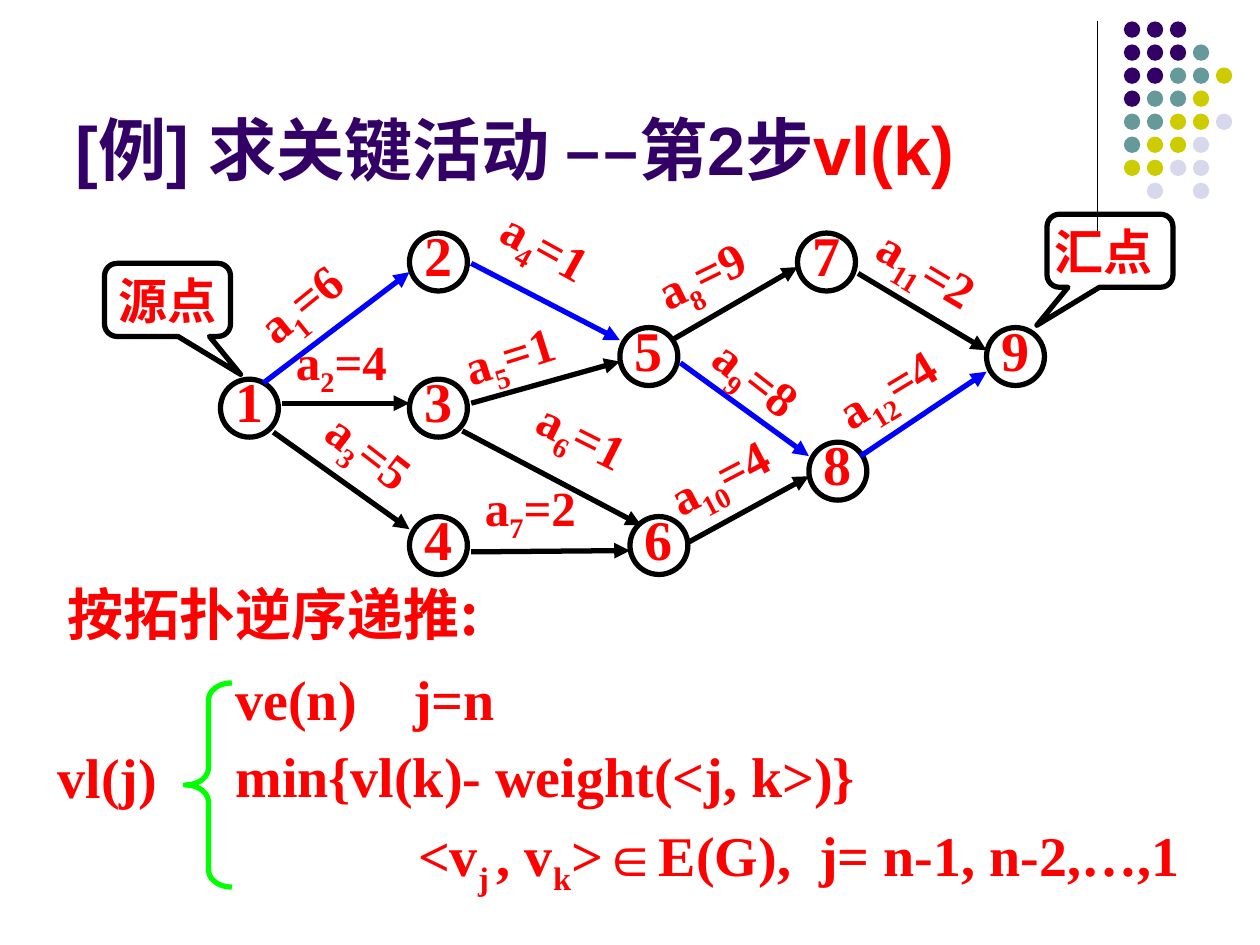
from lxml import etree
from pptx import Presentation
from pptx.dml.color import RGBColor
from pptx.enum.shapes import MSO_CONNECTOR, MSO_SHAPE
from pptx.enum.text import MSO_ANCHOR, MSO_AUTO_SIZE, PP_ALIGN
from pptx.oxml.ns import qn
from pptx.util import Inches, Pt

OVAL, BRACE = MSO_SHAPE.OVAL, MSO_SHAPE.LEFT_BRACE
CALLOUT = MSO_SHAPE.ROUNDED_RECTANGULAR_CALLOUT
STRAIGHT = MSO_CONNECTOR.STRAIGHT
TOP, MIDDLE, BOTTOM = MSO_ANCHOR.TOP, MSO_ANCHOR.MIDDLE, MSO_ANCHOR.BOTTOM
LEFT, CENTER = PP_ALIGN.LEFT, PP_ALIGN.CENTER
NO_FIT = MSO_AUTO_SIZE.NONE

BLACK = RGBColor(0x00, 0x00, 0x00)
RED = RGBColor(0xFF, 0x00, 0x00)
BLUE = RGBColor(0x00, 0x00, 0xFF)
GREEN = RGBColor(0x00, 0xFF, 0x00)
PURPLE = RGBColor(0x33, 0x00, 0x66)
TEAL = RGBColor(0x66, 0x99, 0x99)
YELLOW = RGBColor(0xCC, 0xCC, 0x00)
LAVENDER = RGBColor(0xD8, 0xD8, 0xEC)

SERIF, SANS, CJK = "Times New Roman", "Arial", "Noto Sans CJK SC"

DOT_COLORS = {"P": PURPLE, "T": TEAL, "Y": YELLOW, "L": LAVENDER}
DOT_ROWS = ["PPP", "PPPT", "PPTTY", "PTTY", "TTYYL", "TYYL", "YYLL", ".L.L"]

NODES = {
    "1": (1, 1.31), "2": (2.5, 0.15), "3": (2.5, 1.31),
    "4": (2.5, 2.4), "5": (4.17, 0.9), "6": (4.25, 2.4),
    "7": (5.58, 0.15), "8": (5.67, 1.81), "9": (7.08, 0.9),
}
# activity, weight, colour, arrow ends, label left, top, width, rotation
EDGES = [
    ("1", 6, BLUE, (1.34, 1.34, 2.5, 0.46), (1.16, 0.33, 1.17), -39.1),
    ("2", 4, BLACK, (1.49, 1.5, 2.5, 1.5), (1.5, 0.88, 1.42), 0),
    ("3", 5, BLACK, (1.42, 1.73, 2.5, 2.5), (1.66, 1.74, 1.42), 37.7),
    ("4", 1, BLUE, (2.99, 0.39, 4.17, 1), (3.08, 0.08, 1.42), 28.9),
    ("5", 1, BLACK, (2.99, 1.5, 4.17, 1.17), (2.83, 0.75, 1.42), -17.6),
    ("6", 1, BLACK, (2.92, 1.72, 4.34, 2.47), (3.4, 1.48, 1), 26.7),
    ("7", 2, BLACK, (2.99, 2.68, 4.25, 2.67), (3, 2.04, 1.42), 0),
    ("8", 9, BLACK, (4.58, 1, 5.58, 0.42), (4.34, 0.08, 1.42), -26.2),
    ("9", 8, BLUE, (4.65, 1.18, 5.67, 1.92), (4.73, 1.16, 1.42), 38),
    ("10", 4, BLACK, (4.72, 2.6, 5.67, 2.08), (4.43, 1.7, 1.42), -27.6),
    ("11", 2, BLACK, (6.06, 0.47, 7.08, 1.08), (6.06, 0.24, 1.42), 30.9),
    ("12", 4, BLUE, (6.08, 1.92, 7.08, 1.25), (5.76, 0.99, 1.42), -31.2),
]


def format_paragraph(p, size, font=SERIF, color=RED, align=LEFT):
    p.alignment = align
    p.font.size, p.font.name, p.font.bold = Pt(size), font, True
    p.font.color.rgb = color


def add_runs(p, parts):
    for i, text in enumerate(parts):
        r = p.add_run()
        r.text = text
        if i % 2:
            r._r.get_or_add_rPr().set("baseline", "-25000")


def add_text(s, x, y, w, h, parts, size, font=SERIF, align=LEFT):
    sp = s.shapes.add_textbox(Inches(x), Inches(y), Inches(w), Inches(h))
    tf = sp.text_frame
    tf.word_wrap = True
    add_runs(tf.paragraphs[0], parts)
    format_paragraph(tf.paragraphs[0], size, font, align=align)
    return sp


def add_outline(s, kind, x, y, w, h, color=BLACK):
    sp = s.shapes.add_shape(kind, Inches(x), Inches(y), Inches(w), Inches(h))
    sp.shadow.inherit = False
    sp.fill.background()
    sp.line.color.rgb = color
    sp.line.width = Pt(3)
    return sp


def set_label(sp, text, size, right=0, bottom=0):
    tf = sp.text_frame
    tf.word_wrap = False
    tf.vertical_anchor = MIDDLE
    tf.margin_left = tf.margin_top = 0
    tf.margin_right, tf.margin_bottom = Inches(right), Inches(bottom)
    tf.text = text
    format_paragraph(tf.paragraphs[0], size, align=CENTER)


def add_line(s, x1, y1, x2, y2, color=BLACK, width=3.0, arrow=False):
    c = s.shapes.add_connector(STRAIGHT, Inches(x1), Inches(y1), Inches(x2), Inches(y2))
    c.line.color.rgb = color
    c.line.width = Pt(width)
    if arrow:
        etree.SubElement(c.line._get_or_add_ln(), qn("a:tailEnd"), type="triangle")
    etree.SubElement(c._element.spPr, qn("a:effectLst"))


def add_dots(s, x, y, w, h):
    size = 0.13
    dx, dy = (w - size) / 4, (h - size) / (len(DOT_ROWS) - 1)
    for i, row in enumerate(DOT_ROWS):
        for j, key in enumerate(row):
            if key in DOT_COLORS:
                sp = s.shapes.add_shape(OVAL, Inches(x + j * dx), Inches(y + i * dy),
                                        Inches(size), Inches(size))
                sp.shadow.inherit = False
                sp.fill.solid()
                sp.fill.fore_color.rgb = DOT_COLORS[key]
                sp.line.fill.background()


def add_title(s, x, y, w, h):
    sp = s.shapes.title
    sp.left, sp.top, sp.width, sp.height = Inches(x), Inches(y), Inches(w), Inches(h)
    tf = sp.text_frame
    tf.auto_size = NO_FIT
    tf.vertical_anchor = BOTTOM
    p = tf.paragraphs[0]
    format_paragraph(p, 39, SANS, PURPLE)
    for text, color in (("[例] 求关键活动 ––第2步", PURPLE), ("vl(k)", RED)):
        r = p.add_run()
        r.text = text
        r.font.color.rgb = color


def add_callout(s, x, y, text, tip, right=0):
    sp = add_outline(s, CALLOUT, x, y, 1, 0.58)
    sp.adjustments[0], sp.adjustments[1], sp.adjustments[2] = tip, 1.02, 0.17
    set_label(sp, text, 28, right)


def add_graph(s, x, y):
    for name, (nx, ny) in NODES.items():
        set_label(add_outline(s, OVAL, x + nx, y + ny, 0.46, 0.46), name, 32, bottom=0.12)
    for name, weight, color, (x1, y1, x2, y2), (lx, ly, lw), angle in EDGES:
        add_line(s, x + x1, y + y1, x + x2, y + y2, color, arrow=True)
        sp = add_text(s, x + lx, y + ly, lw, 0.63, ["a", name, f"={weight}"], 28)
        sp.rotation = angle
    add_callout(s, x + 0.08, y + 0.39, "源点", 0.58)
    add_callout(s, x + 7.56, y, "汇点", -0.58, right=0.11)


def add_formula(s, x, y):
    add_text(s, x + 0.08, y, 3.73, 0.63, ["按拓扑逆序递推:"], 32, CJK)
    add_text(s, x, y + 1.29, 1.33, 0.64, ["vl(j)"], 32)
    brace = add_outline(s, BRACE, x + 1.11, y + 0.87, 0.37, 1.62, GREEN)
    brace.adjustments[0] = 0.36
    cases = add_text(s, x + 1.41, y + 0.62, 8.08, 2, ["ve(n)\tj=n"], 32)
    tf = cases.text_frame
    for parts in (["min{vl(k)- weight(<j, k>)}"],
                  ["<v", "j ", ", v", "k", ">∈E(G),  j= n-1, n-2,…,1"]):
        p = tf.add_paragraph()
        add_runs(p, parts)
        format_paragraph(p, 32)
    for p in tf.paragraphs:
        p.line_spacing = 1.1
        p.space_before = Pt(2)
    first, last = tf.paragraphs[0], tf.paragraphs[-1]
    tabs = etree.Element(qn("a:tabLst"))
    etree.SubElement(tabs, qn("a:tab"), pos=str(Inches(1.41)), algn="l")
    first._p.pPr.find(qn("a:defRPr")).addprevious(tabs)
    last._p.pPr.set("marL", str(Inches(1.45)))


def main():
    prs = Presentation()
    prs.slide_width, prs.slide_height = Inches(10), Inches(7.5)
    s = prs.slides.add_slide(prs.slide_layouts[5])
    add_line(s, 8.71, 0.17, 8.71, 1.83, width=0.75)
    add_dots(s, 8.92, 0.17, 0.86, 1.41)
    add_title(s, 0.5, 0.13, 8.25, 1.42)
    add_formula(s, 0.36, 4.55)
    add_graph(s, 0.75, 1.7)
    prs.save("out.pptx")


if __name__ == "__main__":
    main()
